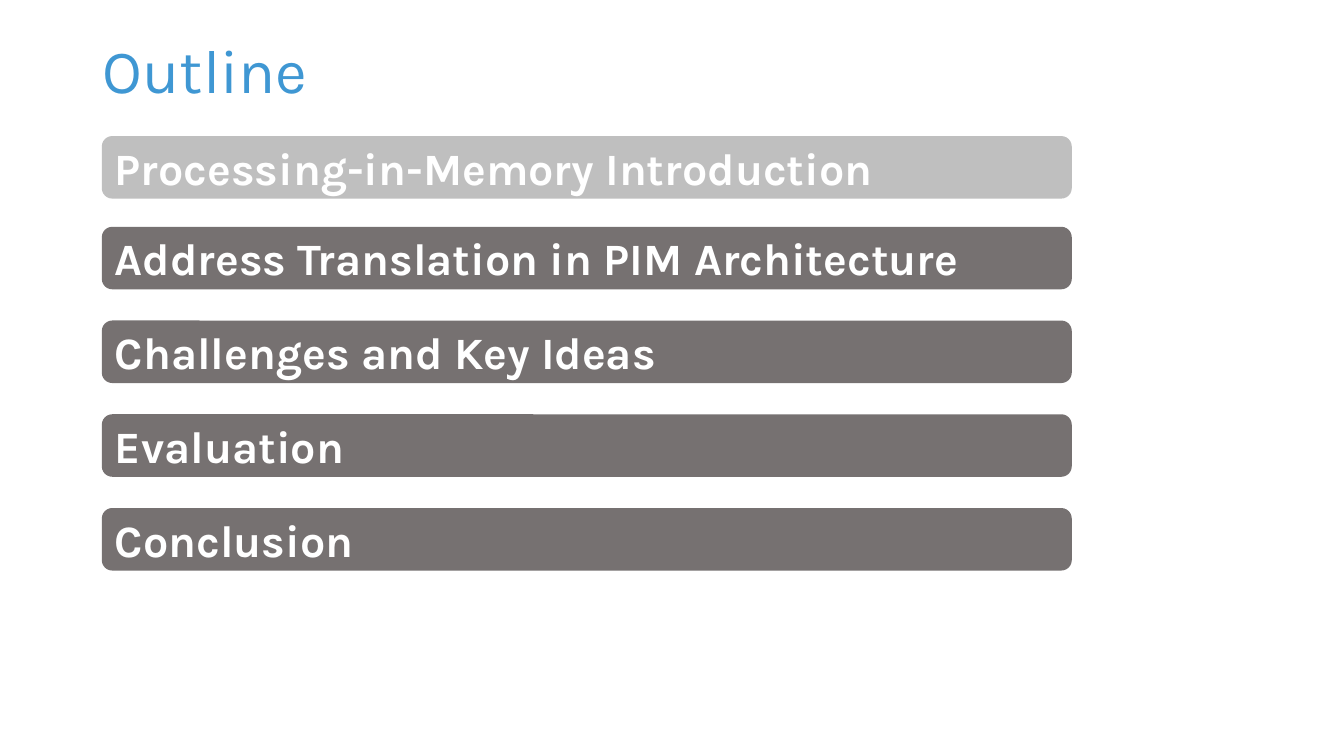
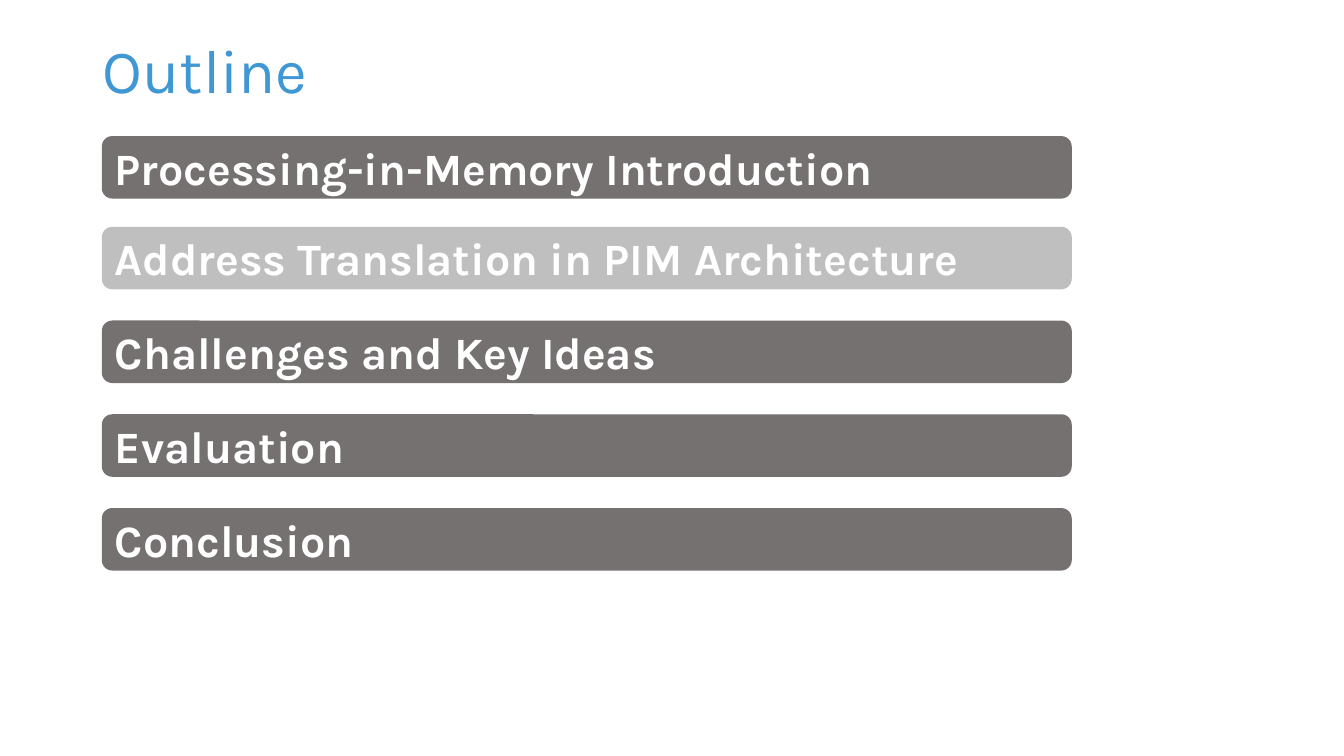
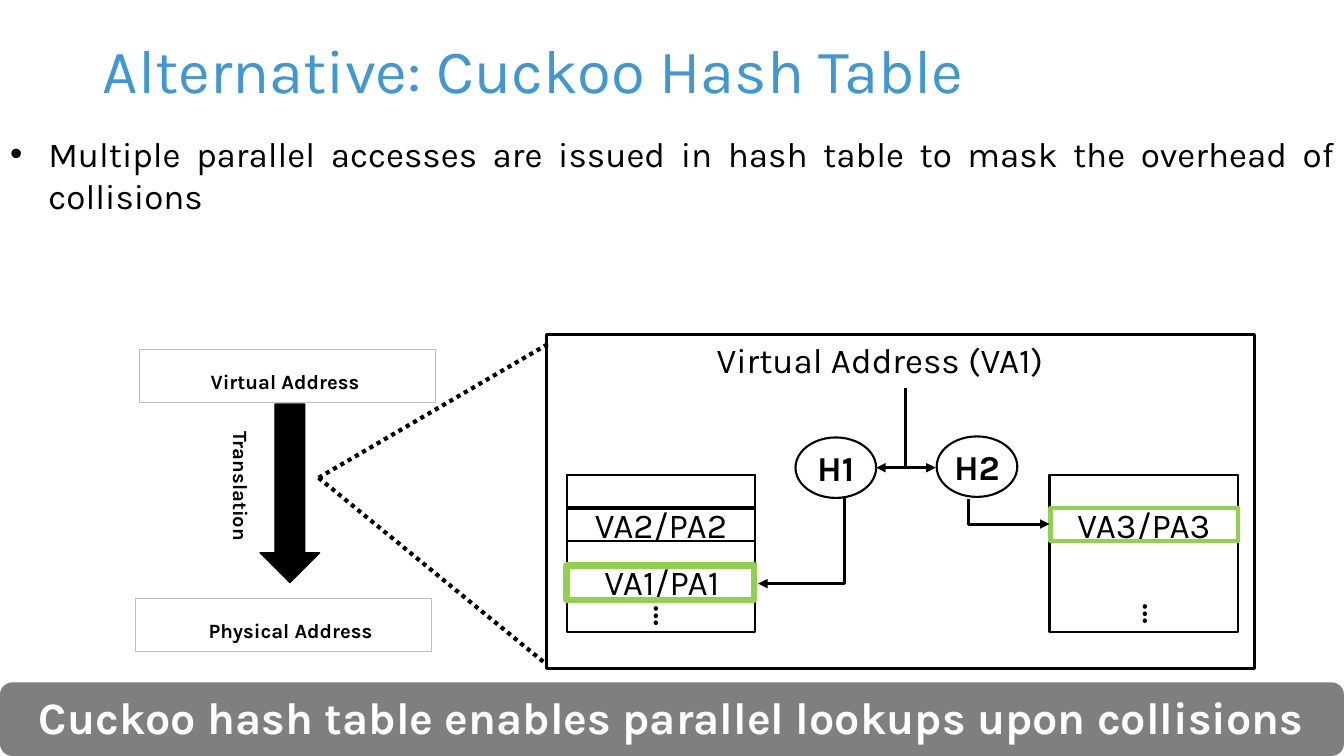
"""Build two outline slides and a cuckoo hash table diagram."""
from lxml import etree
from pptx import Presentation
from pptx.dml.color import RGBColor
from pptx.enum import dml, shapes, text
from pptx.oxml import ns
from pptx.util import Inches, Pt

BLUE = RGBColor(0x3F, 0x97, 0xD3)
DARK = RGBColor(0x76, 0x71, 0x71)
PALE = RGBColor(0xBF, 0xBF, 0xBF)
GRAY = RGBColor(0x7F, 0x7F, 0x7F)
GREEN = RGBColor(0x92, 0xD0, 0x50)
BLACK = RGBColor(0, 0, 0)
WHITE = RGBColor(0xFF, 0xFF, 0xFF)
KIND = shapes.MSO_SHAPE
ALIGN = text.PP_ALIGN
BODY = {"name": "Karla", "size": Pt(25), "bold": False}
BOLD = {**BODY, "bold": True}
HEAD = {**BODY, "size": Pt(44)}
BAR = {**BOLD, "size": Pt(32)}
DOTS = {**BODY, "size": Pt(28)}


def write(shape, words, font, color=BLACK, pad=None, **form):
    frame = shape.text_frame
    frame.word_wrap = True
    frame.auto_size = text.MSO_AUTO_SIZE.NONE
    if pad is not None:
        frame.margin_left = frame.margin_right = 0
        frame.margin_top = frame.margin_bottom = Inches(pad)
    para = frame.paragraphs[0]
    for key, value in {"alignment": ALIGN.LEFT, **form}.items():
        setattr(para, key, value)
    run = para.add_run()
    run.text = words
    for key, value in font.items():
        setattr(run.font, key, value)
    run.font.color.rgb = color
    return run


def draw(slide, kind, at, fill=None, line=None, width=1.5):
    shape = slide.shapes.add_shape(kind, *map(Inches, at))
    shape.shadow.inherit = False
    for part, color in ((shape.fill, fill), (shape.line.fill, line)):
        if color is None:
            part.background()
        else:
            part.solid()
            part.fore_color.rgb = color
    if line is not None:
        shape.line.width = Pt(width)
    return shape


deck = Presentation()
deck.slide_width, deck.slide_height = Inches(13.33), Inches(7.5)

pages = []
for words, layout, width in (
    ("Outline", 5, 11.5),
    ("Outline", 5, 11.5),
    ("Alternative: Cuckoo Hash Table", 1, 12.28),
):
    page = deck.slides.add_slide(deck.slide_layouts[layout])
    title = page.shapes.title
    title.left, title.top, title.width, title.height = map(Inches, (0.92, 0, width, 1.45))
    write(title, words, HEAD, BLUE, line_spacing=0.9)
    pages.append(page)

topics = (
    ("Processing-in-Memory Introduction", 1.35),
    ("Address Translation in PIM Architecture", 2.25),
    ("Challenges and Key Ideas", 3.18),
    ("Evaluation", 4.11),
    ("Conclusion", 5.04),
)
for now, page in enumerate(pages[:2]):
    for row, (words, top) in enumerate(topics):
        fill = PALE if row == now else DARK
        bar = draw(page, KIND.ROUNDED_RECTANGLE, (1.01, top, 9.62, 0.62), fill)
        write(bar, words, BAR, WHITE)

page = pages[2]
point = page.placeholders[1]
point.left, point.top, point.width, point.height = map(Inches, (0, 1.26, 13.33, 0.94))
props = point.text_frame.paragraphs[0]._p.get_or_add_pPr()
props.set("marL", str(Inches(0.38)))
props.set("indent", str(-Inches(0.38)))
etree.SubElement(props, ns.qn("a:buChar")).set("char", "•")
write(
    point,
    "Multiple parallel accesses are issued in hash table to mask the overhead of collisions",
    BODY,
    alignment=ALIGN.JUSTIFY,
    space_before=Pt(0),
)

for left, top in ((1.38, 3.47), (1.34, 5.94)):
    grid = page.shapes.add_table(1, 1, *map(Inches, (left, top, 2.94, 0.52))).table
    grid.first_row = grid.horz_banding = False
    cell = grid.cell(0, 0)
    cell.fill.background()
    props = cell._tc.get_or_add_tcPr()
    for spot, side in enumerate(("lnL", "lnR", "lnT", "lnB")):
        edge = etree.Element(ns.qn(f"a:{side}"), w=str(Pt(0.5)))
        fill = etree.SubElement(edge, ns.qn("a:solidFill"))
        etree.SubElement(fill, ns.qn("a:srgbClr")).set("val", str(PALE))
        props.insert(spot, edge)

for left in (5.62, 10.41):
    for top, height in ((4.71, 1.56), (4.71, 0.34)):
        draw(page, KIND.RECTANGLE, (left, top, 1.87, height), line=BLACK)
for words, left, top in (("VA2/PA2", 5.62, 5.03), ("VA1/PA1", 5.63, 5.6), ("VA3/PA3", 10.41, 5.03)):
    slot = draw(page, KIND.RECTANGLE, (left, top, 1.87, 0.34), line=BLACK)
    write(slot, words, BODY, pad=0.05, alignment=ALIGN.CENTER)

draw(page, KIND.RECTANGLE, (10.42, 5.04, 1.86, 0.33), line=GREEN, width=3)
draw(page, KIND.RECTANGLE, (5.62, 5.61, 1.86, 0.34), line=GREEN, width=4.5)
draw(page, KIND.DOWN_ARROW, (2.58, 4.01, 0.59, 1.77), BLACK, BLACK, 1)
draw(page, KIND.RECTANGLE, (5.42, 3.32, 7.02, 3.31), line=BLACK, width=2.25)

for words, left, top in (("H1", 7.89, 4.34), ("H2", 9.29, 4.33)):
    hash = draw(page, KIND.OVAL, (left, top, 0.8, 0.6), line=BLACK)
    write(hash, words, BOLD, pad=0, alignment=ALIGN.CENTER)

for words, at, turn, font, lift in (
    ("Virtual Address (VA1)", (7.01, 3.31, 3.7, 0.52), 0, BODY, 0),
    ("…", (6.32, 5.95, 0.65, 0.57), 90, DOTS, 0),
    ("…", (11.17, 5.93, 0.65, 0.57), 90, DOTS, 0),
    ("Virtual Address", (1.99, 3.57, 1.75, 0.38), 0, BOLD, 30000),
    ("Translation", (1.64, 4.77, 1.55, 0.38), 90, BOLD, 30000),
    ("Physical Address", (1.97, 6.04, 2, 0.38), 0, BOLD, 30000),
):
    label = page.shapes.add_textbox(*map(Inches, at))
    label.rotation = turn
    run = write(label, words, font)
    if lift:
        run._r.get_or_add_rPr().set("baseline", str(lift))

for ends, bent, head, width in (
    ((8.98, 3.85, 8.98, 4.64), False, False, 2.25),
    ((8.69, 4.64, 8.98, 4.64), False, True, 2.25),
    ((9.28, 4.64, 8.98, 4.64), False, True, 2.25),
    ((7.52, 5.79, 8.38, 4.94), True, True, 2.25),
    ((10.41, 5.2, 9.61, 4.95), True, True, 2.25),
    ((3.16, 4.74, 5.44, 3.41), False, False, 3),
    ((3.16, 4.74, 5.42, 6.59), False, False, 3),
):
    link = page.shapes.add_connector(shapes.MSO_CONNECTOR.STRAIGHT, *map(Inches, ends))
    link.line.color.rgb = BLACK
    link.line.width = Pt(width)
    props = link._element.spPr
    if bent:
        props.find(ns.qn("a:prstGeom")).set("prst", "bentConnector2")
    if head:
        etree.SubElement(link.line._get_or_add_ln(), ns.qn("a:headEnd")).set("type", "triangle")
    if width == 3:
        link.line.dash_style = dml.MSO_LINE.ROUND_DOT
    etree.SubElement(props, ns.qn("a:effectLst"))

foot = draw(page, KIND.ROUNDED_RECTANGLE, (0, 6.77, 13.33, 0.73), GRAY)
write(
    foot,
    "Cuckoo hash table enables parallel lookups upon collisions",
    BAR,
    WHITE,
    alignment=ALIGN.CENTER,
    line_spacing=Pt(35),
)

deck.save("out.pptx")
